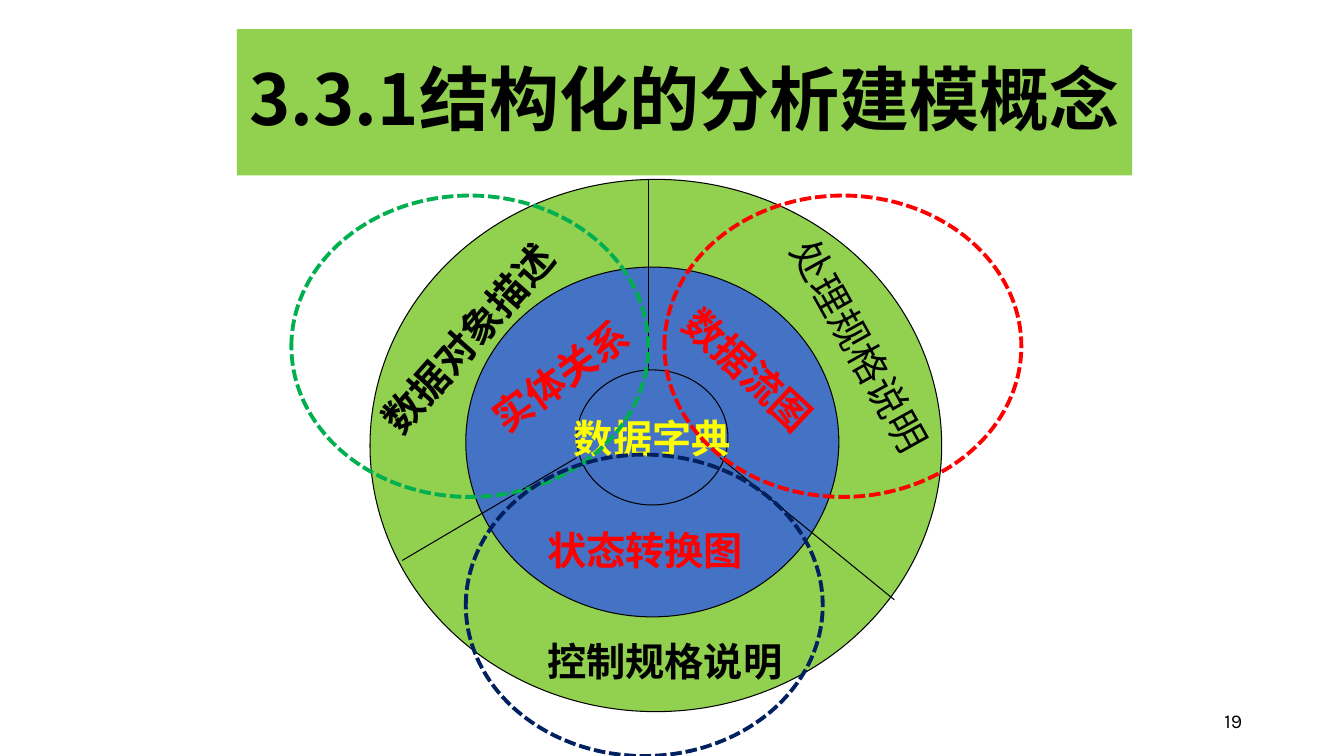
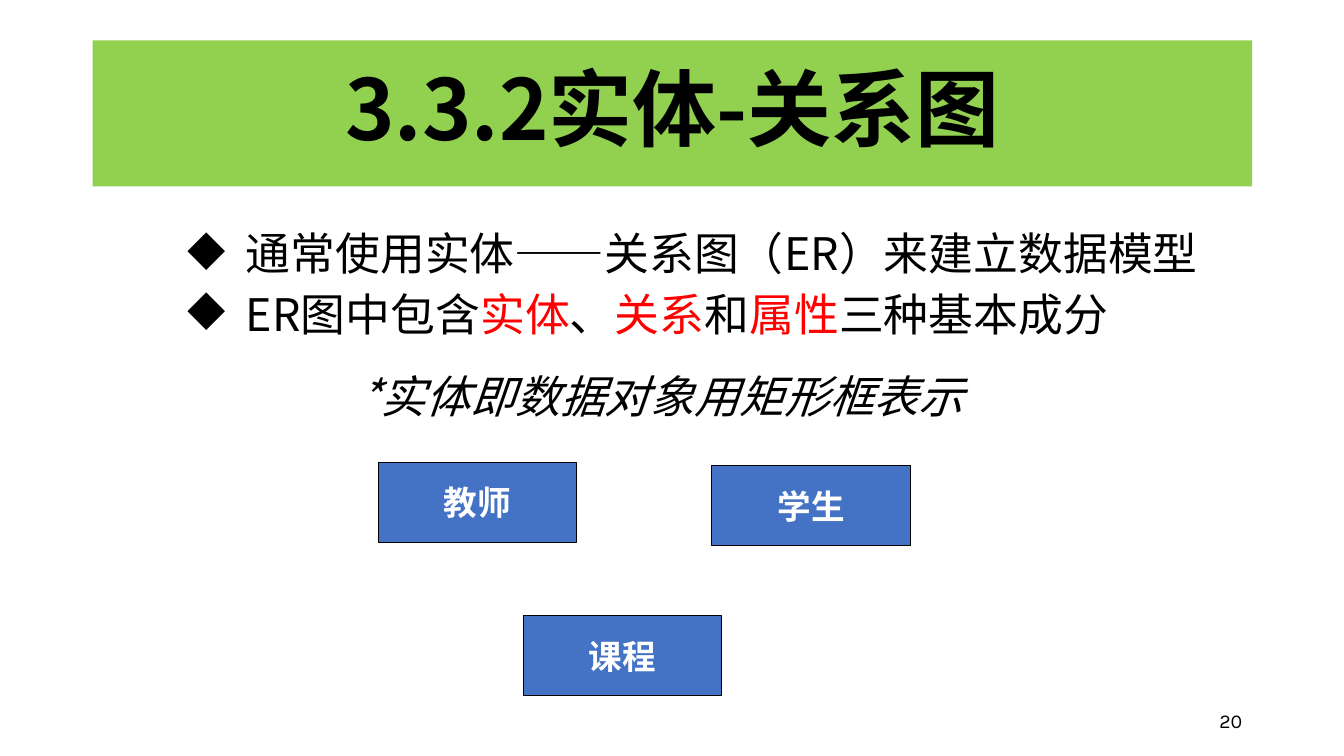
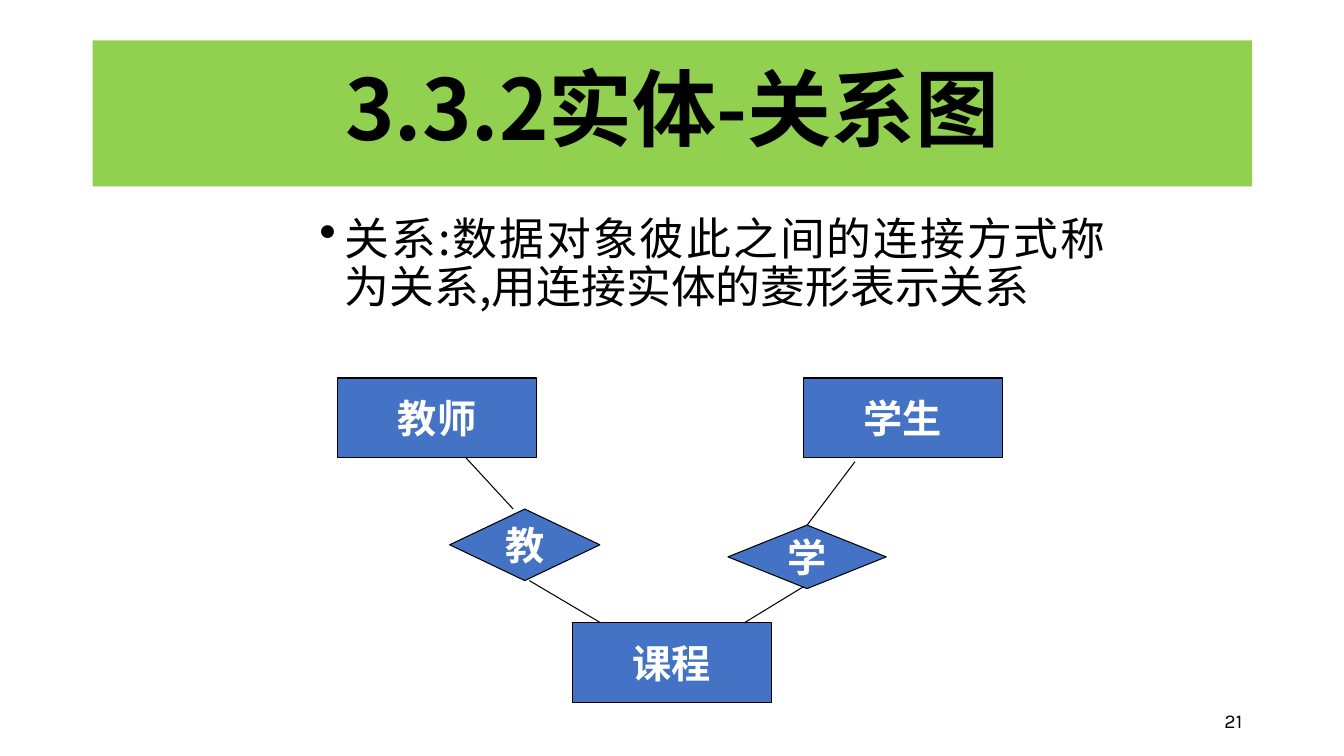
"""Build three slides on structured analysis models and entity-relationship diagrams."""
import dataclasses
import typing

import lxml.etree
import pptx
import pptx.dml.color
import pptx.enum.dml
import pptx.enum.shapes
import pptx.enum.text
import pptx.oxml.ns
import pptx.util

PX = 9144
SANS = "Noto Sans CJK SC"
LATIN = "Karla"
COLORS = {
    "black": "000000", "white": "FFFFFF", "red": "FF0000", "yellow": "FFFF00",
    "lime": "92D050", "blue": "4472C4", "green": "00B050", "navy": "002060",
}
SHAPE = pptx.enum.shapes.MSO_SHAPE
ALIGN = pptx.enum.text.PP_ALIGN
ANCHOR = pptx.enum.text.MSO_ANCHOR


@dataclasses.dataclass(frozen=True)
class Box:
    left: int
    top: int
    width: int
    height: int


@dataclasses.dataclass(frozen=True)
class Font:
    size: int
    color: str = "black"
    name: str = LATIN
    bold: bool = False
    italic: bool = False


@dataclasses.dataclass(frozen=True)
class Label:
    text: str
    box: Box
    color: str = "red"
    rotation: float = 0
    bold: bool = True


@dataclasses.dataclass(frozen=True)
class Node:
    text: str
    box: Box
    kind: typing.Any = SHAPE.RECTANGLE


@dataclasses.dataclass(frozen=True)
class Segment:
    x1: int
    y1: int
    x2: int
    y2: int


@dataclasses.dataclass(frozen=True)
class Body:
    box: Box
    lines: tuple[tuple[tuple[str, str], ...], ...]
    margin: int
    indent: int = 0
    bullet: str = ""
    spacing: float = 1.0
    italic: bool = False


WIDE_TITLE = Box(92, 40, 1150, 145)
RINGS = (Box(367, 178, 567, 528), Box(462, 265, 370, 347), Box(572, 367, 150, 134))
SECTOR_LINES = (
    Segment(572, 454, 399, 556),
    Segment(714, 454, 887, 595),
    Segment(643, 178, 643, 367),
)
LABELS = (
    Label("实体关系", Box(467, 339, 194, 57), rotation=323.8),
    Label("数据流图", Box(651, 348, 205, 57), rotation=43),
    Label("状态转换图", Box(533, 517, 236, 57)),
    Label("控制规格说明", Box(533, 627, 284, 57), "black"),
    Label("数据对象描述", Box(329, 288, 303, 57), "black", 311.4),
    Label("处理规格说明", Box(721, 325, 276, 57), "black", 60.9, False),
)
GROUPS = ((289, 194, "green"), (659, 194, "red"), (462, 451, "navy"))

MODEL_BODY = Body(
    Box(126, 219, 1118, 476),
    (
        (("通常使用实体——关系图（ER）来建立数据模型", "black"),),
        (
            ("ER图中包含", "black"), ("实体", "red"), ("、", "black"), ("关系", "red"),
            ("和", "black"), ("属性", "red"), ("三种基本成分", "black"),
        ),
    ),
    108, -58, "◆",
)
ENTITY_BODY = Body(
    Box(297, 367, 850, 450),
    ((("*实体即数据对象用矩形框表示", "black"),),),
    50, spacing=0.9, italic=True,
)
RELATION_BODY = Body(
    Box(257, 210, 850, 450),
    ((("关系:数据对象彼此之间的连接方式称为关系,用连接实体的菱形表示关系", "black"),),),
    75, -25, "•", 0.9,
)
ENTITIES = (
    Node("教师", Box(375, 459, 197, 79)),
    Node("学生", Box(706, 462, 197, 79)),
    Node("课程", Box(519, 611, 197, 79)),
)
RELATED_ENTITIES = (
    Node("教师", Box(335, 375, 197, 79)),
    Node("学生", Box(797, 375, 197, 79)),
    Node("课程", Box(568, 618, 197, 79)),
    Node("教", Box(446, 505, 149, 71), SHAPE.FLOWCHART_DECISION),
)
STUDY = Node("学", Box(722, 521, 157, 63), SHAPE.FLOWCHART_DECISION)
RELATION_LINES = (
    Segment(462, 454, 509, 505),
    Segment(525, 576, 596, 618),
    Segment(738, 618, 797, 582),
)


def emu(box: Box) -> tuple[int, ...]:
    return tuple(v * PX for v in dataclasses.astuple(box))


def rgb(color: str) -> pptx.dml.color.RGBColor:
    return pptx.dml.color.RGBColor.from_string(COLORS[color])


def format_run(r, font: Font) -> None:
    r.font.size = pptx.util.Pt(font.size)
    r.font.bold = font.bold
    r.font.italic = font.italic
    r.font.color.rgb = rgb(font.color)
    r.font.name = font.name
    ea = lxml.etree.SubElement(r.font._element, pptx.oxml.ns.qn("a:ea"))
    ea.set("typeface", SANS)


def set_text(sp, text: str, font: Font, align=ALIGN.CENTER, anchor=ANCHOR.MIDDLE,
             wrap: bool = True, spacing: float = 1.0) -> None:
    tf = sp.text_frame
    tf.word_wrap = wrap
    tf.vertical_anchor = anchor
    tf.text = text
    p = tf.paragraphs[0]
    p.alignment = align
    p.line_spacing = spacing
    format_run(p.runs[0], font)


def add_shape(s, kind, box: Box, fill: str = "", line: str = "", width: float = 0.75):
    sp = s.shapes.add_shape(kind, *emu(box))
    sp.shadow.inherit = False
    if fill:
        sp.fill.solid()
        sp.fill.fore_color.rgb = rgb(fill)
    else:
        sp.fill.background()
    if line:
        sp.line.color.rgb = rgb(line)
        sp.line.width = pptx.util.Pt(width)
    else:
        sp.line.fill.background()
    return sp


def add_line(s, seg: Segment):
    ends = (v * PX for v in dataclasses.astuple(seg))
    c = s.shapes.add_connector(pptx.enum.shapes.MSO_CONNECTOR.STRAIGHT, *ends)
    c.line.color.rgb = rgb("black")
    c.line.width = pptx.util.Pt(0.75)
    lxml.etree.SubElement(c._element.spPr, pptx.oxml.ns.qn("a:effectLst"))
    return c


def add_node(s, node: Node, size: int):
    sp = add_shape(s, node.kind, node.box, "blue", "black")
    set_text(sp, node.text, Font(size, "white", bold=True), wrap=False)
    return sp


def add_label(s, label: Label) -> None:
    sp = s.shapes.add_textbox(*emu(label.box))
    sp.rotation = label.rotation
    set_text(sp, label.text, Font(28, label.color, bold=label.bold), ALIGN.LEFT, ANCHOR.TOP)
    sp.text_frame.auto_size = pptx.enum.text.MSO_AUTO_SIZE.SHAPE_TO_FIT_TEXT


def add_body(s, body: Body) -> None:
    tf = s.shapes.add_textbox(*emu(body.box)).text_frame
    tf.word_wrap = True
    for i, line in enumerate(body.lines):
        p = tf.add_paragraph() if i else tf.paragraphs[0]
        p.alignment = ALIGN.JUSTIFY
        p.level = 1
        p.line_spacing = body.spacing
        p.space_before = pptx.util.Pt(5)
        pPr = p._p.get_or_add_pPr()
        pPr.set("marL", str(body.margin * PX))
        pPr.set("indent", str(body.indent * PX))
        if body.bullet:
            size = lxml.etree.SubElement(pPr, pptx.oxml.ns.qn("a:buSzPct"))
            size.set("val", "110000")
            mark = lxml.etree.SubElement(pPr, pptx.oxml.ns.qn("a:buChar"))
            mark.set("char", body.bullet)
        for text, color in line:
            r = p.add_run()
            r.text = text
            format_run(r, Font(32, color, SANS, italic=body.italic))


def add_slide(prs, title: str, number: int, box: Box = WIDE_TITLE, size: int = 60):
    s = prs.slides.add_slide(prs.slide_layouts[6])
    sp = add_shape(s, SHAPE.RECTANGLE, box, "lime")
    set_text(sp, title, Font(size, name=SANS, bold=True), spacing=0.9)
    sp = s.shapes.add_textbox(*emu(Box(942, 695, 300, 40)))
    set_text(sp, str(number), Font(14), ALIGN.RIGHT)
    return s


def build_concept(prs) -> None:
    s = add_slide(prs, "3.3.1结构化的分析建模概念", 19, Box(235, 29, 888, 145), 50)
    for box, fill in zip(RINGS, ("lime", "blue", "blue")):
        sp = add_shape(s, SHAPE.OVAL, box, fill, "black")
    set_text(sp, "数据字典", Font(28, "yellow", SANS, True), wrap=False)
    for seg in SECTOR_LINES:
        add_line(s, seg)
    for label in LABELS:
        add_label(s, label)
    for left, top, color in GROUPS:
        sp = add_shape(s, SHAPE.OVAL, Box(left, top, 354, 299), line=color, width=2.75)
        sp.line.dash_style = pptx.enum.dml.MSO_LINE.SQUARE_DOT


def build_entities(prs) -> None:
    s = add_slide(prs, "3.3.2实体-关系图", 20)
    add_body(s, MODEL_BODY)
    add_body(s, ENTITY_BODY)
    for node in ENTITIES:
        add_node(s, node, 24)


def build_relations(prs) -> None:
    s = add_slide(prs, "3.3.2实体-关系图", 21)
    add_body(s, RELATION_BODY)
    for node in RELATED_ENTITIES:
        add_node(s, node, 28)
    study = add_node(s, STUDY, 28)
    for seg in RELATION_LINES:
        add_line(s, seg)
    add_line(s, Segment(801, 521, 848, 458)).begin_connect(study, 0)


def main() -> None:
    prs = pptx.Presentation()
    prs.slide_width = 1333 * PX
    prs.slide_height = 750 * PX
    for build in (build_concept, build_entities, build_relations):
        build(prs)
    prs.save("out.pptx")


if __name__ == "__main__":
    main()
